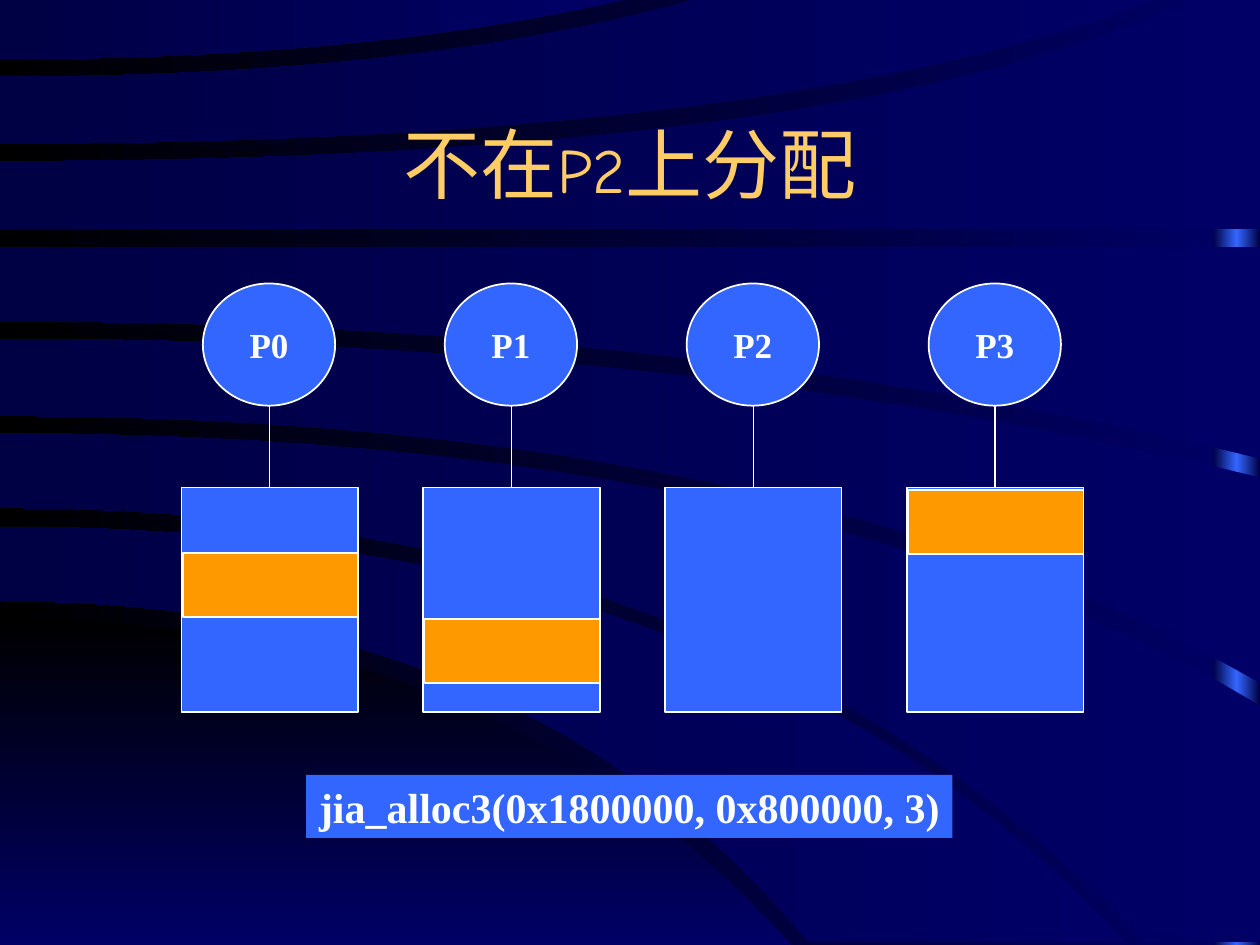
from copy import deepcopy
from pptx import Presentation
from pptx.dml.color import RGBColor
from pptx.enum.shapes import MSO_CONNECTOR, MSO_SHAPE
from pptx.enum.text import MSO_ANCHOR, PP_ALIGN
from pptx.oxml.ns import qn
from pptx.util import Inches, Pt

NAVY = RGBColor(0x00, 0x00, 0x66)
DARK = RGBColor(0x00, 0x00, 0x44)
BLACK = RGBColor(0x00, 0x00, 0x00)
BLUE = RGBColor(0x33, 0x66, 0xFF)
ORANGE = RGBColor(0xFF, 0x99, 0x00)
GOLD = RGBColor(0xFF, 0xCC, 0x66)
WHITE = RGBColor(0xFF, 0xFF, 0xFF)
STEPS = 24


def set_gradient(fill, colors, angle=180):
    fill.gradient()
    fill.gradient_angle = angle
    stops = fill._fill._gradFill.find(qn("a:gsLst"))
    while len(stops) < len(colors):
        stops.append(deepcopy(stops[0]))
    for i, (stop, color) in enumerate(zip(fill.gradient_stops, colors)):
        stop.color.rgb = color
        stop.position = i / (len(colors) - 1)


def add_box(kind, x, y, w, h, color, text=None, size=20, outlined=True):
    sp = s.shapes.add_shape(kind, Inches(x), Inches(y), Inches(w), Inches(h))
    sp.shadow.inherit = False
    sp.fill.solid()
    sp.fill.fore_color.rgb = color
    if outlined:
        sp.line.color.rgb = WHITE
        sp.line.width = Pt(1)
    else:
        sp.line.fill.background()
    if text:
        tf = sp.text_frame
        tf.word_wrap = False
        tf.vertical_anchor = MSO_ANCHOR.MIDDLE
        p = tf.paragraphs[0]
        p.alignment = PP_ALIGN.CENTER
        r = p.add_run()
        r.text = text
        r.font.name = "Times New Roman"
        r.font.size = Pt(size)
        r.font.bold = True
        r.font.color.rgb = WHITE


prs = Presentation()
prs.slide_width, prs.slide_height = Inches(10), Inches(7.5)
s = prs.slides.add_slide(prs.slide_layouts[5])

# Background and glowing strip at the right edge
set_gradient(s.background.fill, [NAVY, BLACK])
sp = s.shapes.add_shape(MSO_SHAPE.RECTANGLE, Inches(9.63), 0, Inches(0.37), prs.slide_height)
sp.shadow.inherit = False
sp.line.fill.background()
set_gradient(sp.fill, [DARK, BLUE, DARK])

# Curved bands, bottom to top: upper and lower edge of each. An edge leaves the
# left side level at y0, bends towards x = bend and ends at (x1, y1).
bands = [
    ((4.91, 3.98, 6.28, 7.5), (7.5, 3, 6.28, 7.5)),
    ((4.18, 5.93, 8.93, 7.48), (4.77, 4.19, 6.42, 7.48)),
    ((3.44, 6.4, 10, 5.6), (4.03, 5.88, 9.09, 7.48)),
    ((2.69, 5.54, 10, 3.79), (3.3, 6.3, 10, 5.42)),
    ((1.96, 5, 10, 1.96), (2.55, 5.6, 10, 3.64)),
    ((1.28, 6.73, 9.43, 0), (1.82, 5, 10, 1.82)),
    ((0.61, 3.32, 5.5, 0), (1.14, 6.17, 9.17, 0)),
    ((0, 2.5, 4.95, 0), (0.47, 2.9, 4.95, 0)),
]
for i, band in enumerate(bands):
    upper, lower = [
        [(2 * t * (1 - t) * bend + t * t * x1, y0 + t * t * (y1 - y0))
         for t in (k / STEPS for k in range(STEPS + 1))]
        for y0, bend, x1, y1 in band]
    # The two ends meet in a square corner
    narrow, wide = sorted([upper[-1], lower[-1]])
    outline = upper + [(wide[0], narrow[1])] + lower[::-1]
    points = [(Inches(x), Inches(y)) for x, y in outline]
    fb = s.shapes.build_freeform(*points[0])
    fb.add_line_segments(points[1:])
    sp = fb.convert_to_shape()
    sp.shadow.inherit = False
    sp.line.fill.background()
    if i == 0:
        set_gradient(sp.fill, [BLACK, NAVY], 270)
    else:
        set_gradient(sp.fill, [NAVY, DARK])

# Title, raised above the bands
title = s.shapes.title
s.shapes._spTree.append(title._element)
title.left, title.top = Inches(0.75), Inches(0.67)
title.width, title.height = Inches(8.5), Inches(1.25)
tf = title.text_frame
tf.vertical_anchor = MSO_ANCHOR.MIDDLE
p = tf.paragraphs[0]
p.alignment = PP_ALIGN.CENTER
for text, size in [("不在", 44), ("P2", 36), ("上分配", 44)]:
    r = p.add_run()
    r.text = text
    r.font.name = "Comic Neue"
    r.font.size = Pt(size)
    r.font.color.rgb = GOLD

# Processors with their memories; the allocated block's top, if any
block_tops = [4.39, 4.91, None, 3.89]
for i, block_top in enumerate(block_tops):
    left = 1.44 + 1.92 * i
    center = left + 0.7
    add_box(MSO_SHAPE.OVAL, center - 0.53, 2.25, 1.05, 0.97, BLUE, f"P{i}")
    add_box(MSO_SHAPE.RECTANGLE, left, 3.87, 1.4, 1.78, BLUE)
    link = s.shapes.add_connector(MSO_CONNECTOR.STRAIGHT, Inches(center), Inches(3.22),
                                  Inches(center), Inches(3.87))
    link.line.color.rgb = WHITE
    link.line.width = Pt(1)
    link._element.spPr.append(link._element.makeelement(qn("a:effectLst"), {}))
    if block_top:
        add_box(MSO_SHAPE.RECTANGLE, left + 0.01, block_top, 1.39, 0.51, ORANGE)

# Allocation call
add_box(MSO_SHAPE.RECTANGLE, 2.43, 6.15, 5.13, 0.5, BLUE,
        "jia_alloc3(0x1800000, 0x800000, 3)", size=24, outlined=False)

prs.save("out.pptx")
